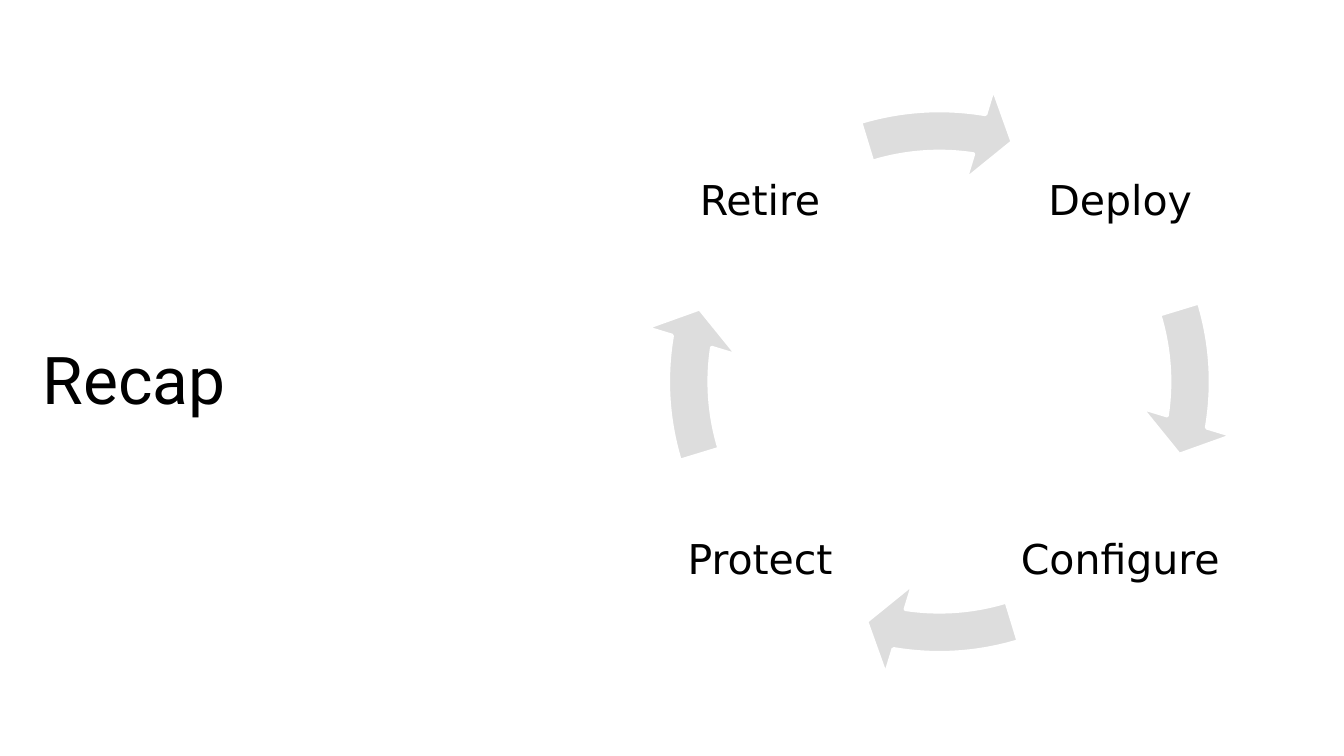
from dataclasses import dataclass

from pptx import Presentation
from pptx.dml.color import RGBColor
from pptx.enum.shapes import MSO_SHAPE
from pptx.enum.text import MSO_ANCHOR, MSO_AUTO_SIZE, PP_ALIGN
from pptx.shapes.group import GroupShape
from pptx.slide import Slide
from pptx.util import Inches, Pt

COLORS = {"text": "000000", "arrow": "DDDDDD", "outline": "FFFFFF"}
LABEL_LEFT, LABEL_TOP, LABEL_SIZE = 4.87, 0.72, 1.57
COLUMN_STEP, ROW_STEP = 2.68, 2.67
RING_LEFT, RING_TOP, RING_SIZE = 4.77, 0.62, 4.44
ARROW_START, ARROW_END = 343.07, 9.18
ARROWHEAD_ANGLE = 7.75
ADJUSTMENT_PER_DEGREE = 0.6


@dataclass(frozen=True)
class Stage:
    name: str
    column: int
    row: int


STAGES = [
    Stage("Deploy", 1, 0),
    Stage("Configure", 1, 1),
    Stage("Protect", 0, 1),
    Stage("Retire", 0, 0),
]


def color(name: str) -> RGBColor:
    return RGBColor.from_string(COLORS[name])


def add_title(page: Slide, text: str) -> None:
    box = page.shapes.add_textbox(Inches(0.22), Inches(2.47), Inches(3.93), Inches(0.69))
    frame = box.text_frame
    frame.word_wrap = True
    frame.auto_size = MSO_AUTO_SIZE.SHAPE_TO_FIT_TEXT
    frame.vertical_anchor = MSO_ANCHOR.MIDDLE
    para = frame.paragraphs[0]
    para.text = text
    para.font.name = "Roboto"
    para.font.size = Pt(35.3)
    para.font.color.rgb = color("text")


def add_label(cycle: GroupShape, stage: Stage) -> None:
    box = cycle.shapes.add_textbox(
        Inches(LABEL_LEFT + stage.column * COLUMN_STEP),
        Inches(LABEL_TOP + stage.row * ROW_STEP),
        Inches(LABEL_SIZE),
        Inches(LABEL_SIZE),
    )
    frame = box.text_frame
    frame.word_wrap = True
    frame.vertical_anchor = MSO_ANCHOR.MIDDLE
    frame.margin_left = frame.margin_right = Inches(0.03)
    frame.margin_top = frame.margin_bottom = Inches(0.03)
    para = frame.paragraphs[0]
    para.text = stage.name
    para.alignment = PP_ALIGN.CENTER
    para.line_spacing = 0.9
    para.space_after = Pt(7.7)
    para.font.name = "DejaVu Sans"
    para.font.size = Pt(22)
    para.font.color.rgb = color("text")


def add_arrow(cycle: GroupShape, turn: int) -> None:
    """Add a ring arrow, turned clockwise by the given number of degrees."""
    arrow = cycle.shapes.add_shape(
        MSO_SHAPE.CIRCULAR_ARROW,
        Inches(RING_LEFT),
        Inches(RING_TOP),
        Inches(RING_SIZE),
        Inches(RING_SIZE),
    )
    angles = [ARROWHEAD_ANGLE, (ARROW_END + turn) % 360, (ARROW_START + turn) % 360]
    values = [0.069, *(angle * ADJUSTMENT_PER_DEGREE for angle in angles), 0.08]
    for index, value in enumerate(values):
        arrow.adjustments[index] = value
    arrow.shadow.inherit = False
    arrow.fill.solid()
    arrow.fill.fore_color.rgb = color("arrow")
    arrow.line.color.rgb = color("outline")
    arrow.line.width = Pt(2)


def main() -> None:
    deck = Presentation()
    deck.slide_width = Inches(10)
    deck.slide_height = Inches(10 * 9 / 16)
    page = deck.slides.add_slide(deck.slide_layouts[6])
    add_title(page, "Recap")
    cycle = page.shapes.add_group_shape()
    for index, stage in enumerate(STAGES):
        add_label(cycle, stage)
        add_arrow(cycle, index * 90)
    deck.save("out.pptx")


if __name__ == "__main__":
    main()
